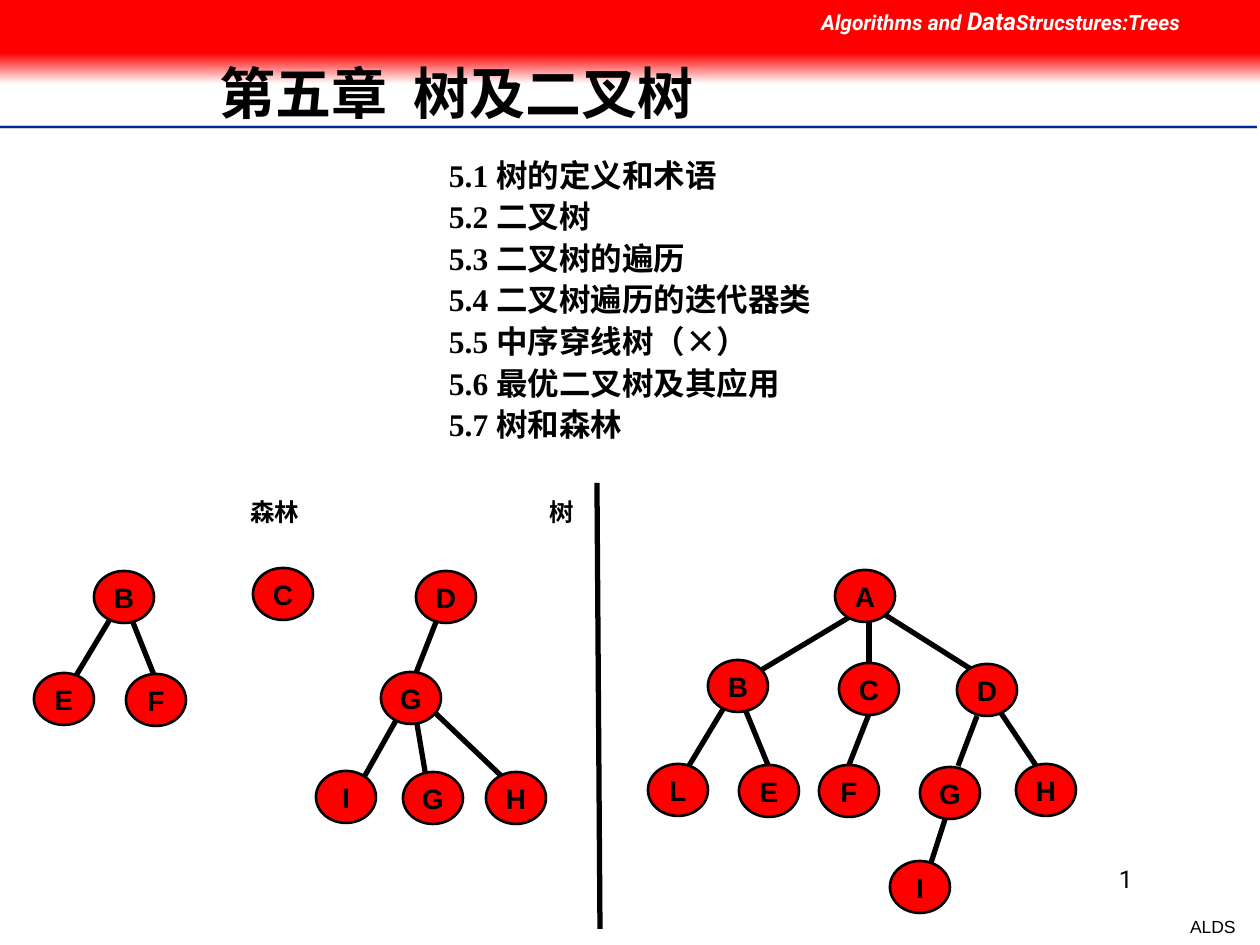
from lxml.etree import SubElement
from pptx import Presentation
from pptx.dml.color import RGBColor
from pptx.enum.shapes import MSO_CONNECTOR as Link, MSO_SHAPE as Shape
from pptx.enum.text import MSO_ANCHOR as Anchor, PP_ALIGN as Align
from pptx.oxml.ns import qn
from pptx.util import Emu, Pt

BLACK = RGBColor(0x00, 0x00, 0x00)
WHITE = RGBColor(0xFF, 0xFF, 0xFF)
RED = RGBColor(0xFF, 0x00, 0x00)
BLUE = RGBColor(0x00, 0x27, 0x9F)
GREY = RGBColor(0xCE, 0xCE, 0xCE)
CJK = "Noto Sans CJK SC"
SCALE = 914400 / 126

TOPICS = ["树的定义和术语", "二叉树", "二叉树的遍历", "二叉树遍历的迭代器类",
          "中序穿线树（×）", "最优二叉树及其应用", "树和森林"]

# Each node is a letter with its left and top; each edge has two end points
FOREST_NODES = [("B", 94, 571), ("C", 253, 568), ("D", 416, 571),
                ("E", 34, 673), ("F", 126, 674), ("G", 381, 672),
                ("I", 316, 771), ("G", 403, 772), ("H", 486, 772)]
FOREST_EDGES = [(115, 611, 71, 684), (130, 615, 156, 680),
                (436, 622, 416, 673), (403, 708, 358, 788),
                (416, 718, 426, 777), (430, 708, 514, 788)]
TREE_NODES = [("A", 835, 570), ("B", 708, 660), ("C", 839, 663),
              ("D", 957, 664), ("L", 648, 764), ("E", 739, 765),
              ("F", 819, 765), ("G", 920, 767), ("H", 1016, 764),
              ("I", 890, 861)]
TREE_EDGES = [(858, 612, 748, 678), (869, 611, 869, 678),
              (879, 611, 985, 678), (728, 701, 684, 774),
              (743, 704, 770, 770), (869, 714, 849, 765),
              (977, 716, 958, 766), (995, 704, 1037, 767),
              (950, 804, 930, 866)]


def px(*values):
    return [Emu(round(value * SCALE)) for value in values]


class Board:
    """Holds the style and the current slide."""

    base = {"name": "Arial", "size": Pt(16), "bold": True, "italic": False}
    node_size = (60, 52)

    def __init__(self, deck):
        self.page = deck.slides.add_slide(deck.slide_layouts[6])

    def add_spans(self, para, spans, color=BLACK, **style):
        for words, extra in spans:
            span = para.add_run()
            span.text = words
            for key, value in {**self.base, **style, **extra}.items():
                setattr(span.font, key, value)
            span.font.color.rgb = color
            latin = span._r.rPr.find(qn("a:latin"))
            latin.addnext(latin.makeelement(qn("a:ea"), {"typeface": CJK}))

    def text(self, place, lines, frame=None, para_format=None, tab=None, **style):
        box = self.page.shapes.add_textbox(*px(*place))
        for key, value in {"word_wrap": True, **(frame or {})}.items():
            setattr(box.text_frame, key, value)
        for index, spans in enumerate(lines):
            para = (box.text_frame.add_paragraph() if index
                    else box.text_frame.paragraphs[0])
            for key, value in (para_format or {}).items():
                setattr(para, key, value)
            if tab:
                stops = SubElement(para._p.get_or_add_pPr(), qn("a:tabLst"))
                SubElement(stops, qn("a:tab"), pos=str(px(tab)[0]), algn="l")
            self.add_spans(para, spans, **style)

    def band(self, top, height, fade_to=None):
        band = self.page.shapes.add_shape(
            Shape.RECTANGLE, *px(0, top, 1260, height))
        band.shadow.inherit = False
        band.line.fill.background()
        if fade_to is None:
            band.fill.solid()
            band.fill.fore_color.rgb = RED
            return
        band.fill.gradient()
        band.fill.gradient_angle = 270
        for stop, color, position in zip(
                band.fill.gradient_stops, (RED, fade_to), (0, 1)):
            stop.color.rgb = color
            stop.position = position

    def line(self, ends, color=BLACK, width=3):
        line = self.page.shapes.add_connector(Link.STRAIGHT, *px(*ends))
        line.line.color.rgb = color
        line.line.width = Pt(width)
        SubElement(line._element.spPr, qn("a:effectLst"))

    def node(self, letter, left, top):
        node = self.page.shapes.add_shape(
            Shape.OVAL, *px(left, top, *self.node_size))
        node.shadow.inherit = False
        node.fill.solid()
        node.fill.fore_color.rgb = RED
        node.line.color.rgb = BLACK
        node.line.width = Pt(1.5)
        node.text_frame.word_wrap = False
        node.text_frame.vertical_anchor = Anchor.MIDDLE
        para = node.text_frame.paragraphs[0]
        para.alignment = Align.CENTER
        self.add_spans(para, [(letter, {})])

    def graph(self, nodes, edges):
        for ends in edges:
            self.line(ends)
        for node in nodes:
            self.node(*node)


def main():
    deck = Presentation()
    deck.slide_width, deck.slide_height = px(1260, 945)
    board = Board(deck)
    flush = dict.fromkeys(
        ("margin_left", "margin_top", "margin_right", "margin_bottom"), 0)
    flush["vertical_anchor"] = Anchor.MIDDLE

    # Rule under the title
    for y, color, width in [(127, GREY, 2), (127, BLUE, 1), (130, WHITE, 1)]:
        board.line((0, y, 1257, y), color, width)

    # Footer
    board.text((1177, 910, 71, 34), [[("ALDS", {})]], {"word_wrap": False},
               {"alignment": Align.RIGHT}, size=Pt(10), bold=False)
    board.text((903, 858, 242, 63), [[("1", {})]], None,
               {"alignment": Align.RIGHT},
               name="Roboto", size=Pt(14), bold=False)

    # Header band and course name
    board.band(53, 31, fade_to=WHITE)
    board.band(0, 53)
    board.text((809, 0, 451, 43),
               [[("Algorithms and ", {}), ("Data", {"size": Pt(14)}),
                 ("Strucstures:Trees", {})]],
               color=WHITE, name="Roboto", size=Pt(12), italic=True)

    # Chapter title and contents
    board.text((219, 50, 987, 93), [[("第五章\t树及二叉树", {})]], flush,
               {"line_spacing": 0.9}, tab=194, size=Pt(32))
    board.text((449, 40, 703, 557),
               [[(f"5.{number} ", {"name": "Times New Roman"}),
                 (topic, {"name": CJK})]
                for number, topic in enumerate(TOPICS, 1)],
               {**flush, "margin_bottom": px(42)[0]},
               {"line_spacing": 1.1}, size=Pt(18))

    # Forest on the left, tree on the right
    board.graph(FOREST_NODES, FOREST_EDGES)
    board.graph(TREE_NODES, TREE_EDGES)
    board.text((238, 491, 819, 43), [[("森林\t树", {})]], tab=299,
               name=CJK, size=Pt(14))
    board.line((597, 483, 600, 929))

    deck.save("out.pptx")


if __name__ == "__main__":
    main()
